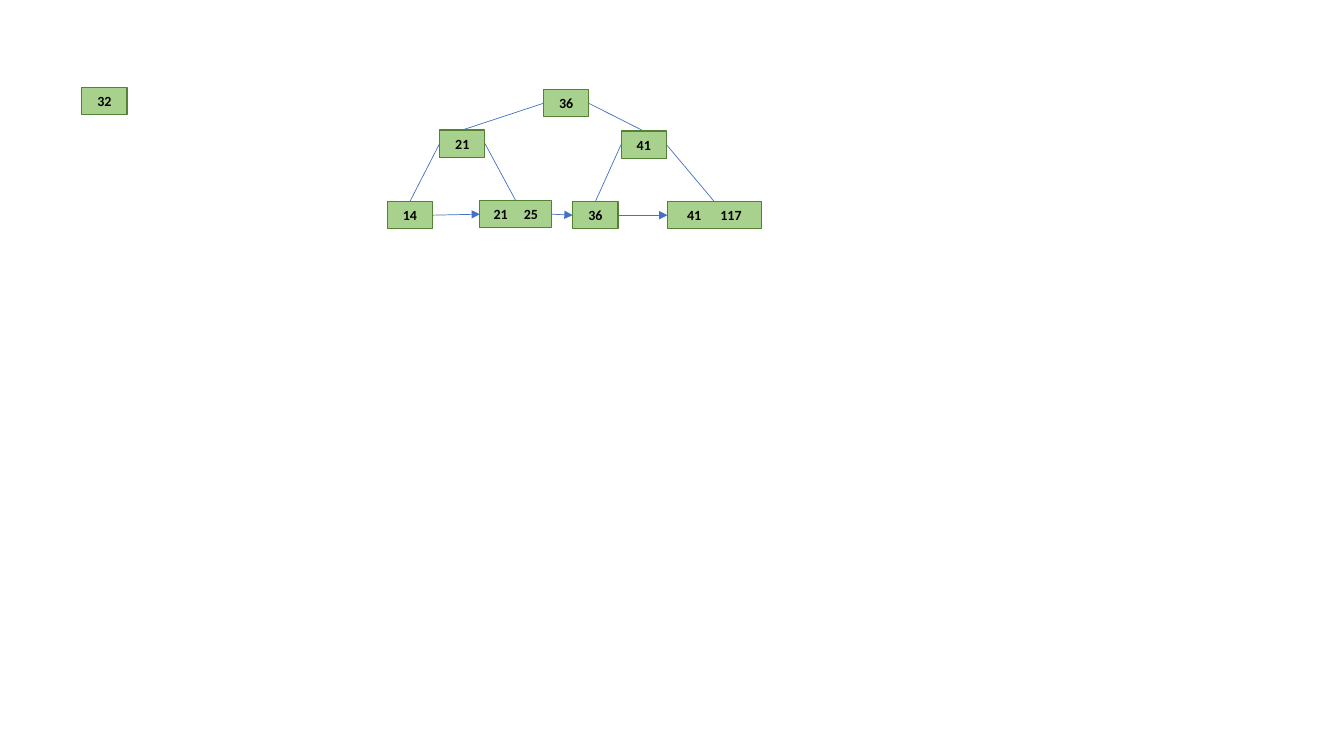
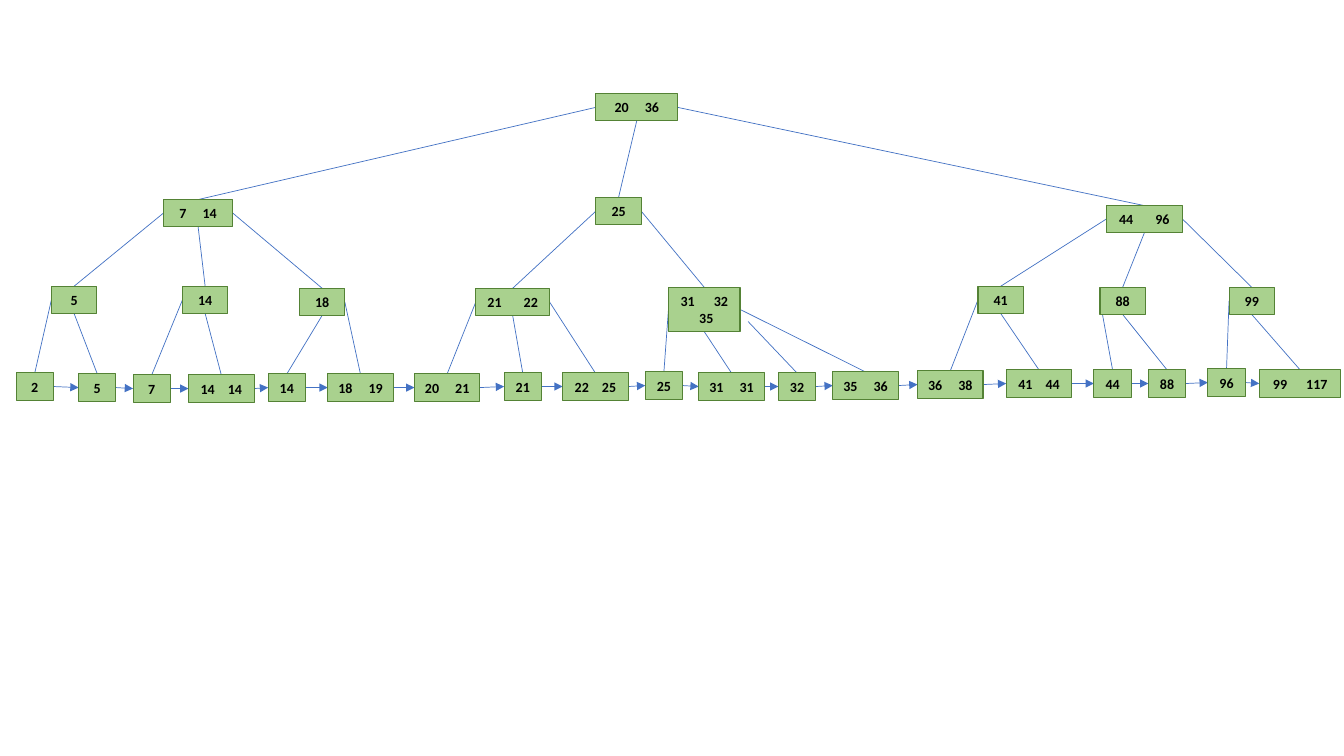
from dataclasses import dataclass

from lxml import etree
from pptx import Presentation
from pptx.dml.color import RGBColor
from pptx.enum import shapes, text
from pptx.oxml.ns import qn
from pptx.util import Inches, Pt

TOP, LEFT, BOTTOM, RIGHT = range(4)
DIGIT_WIDTH = 0.07
TAB_SLACK = 0.04


@dataclass
class Node:
    """Keys are parted by a space, rows of keys by a line break.

    Each branch is (start, child); start is a side of this node or a free point.
    """
    keys: str
    left: float
    top: float
    width: float = 0.45
    gap: float = 0.16
    branches: tuple = ()


def color(value):
    return RGBColor.from_string(value)


def leaf(keys, left, top, gap=0.16):
    return Node(keys, left, top, 0.65 if " " in keys else 0.37, gap)


class TreeDeck:
    FILL, BORDER, LINK, INK = "A9D18E", "548235", "4472C4", "000000"
    FONT, SIZE = "Calibri", 10
    ROW_HEIGHT, PADDING = 0.17, 0.05

    def __init__(self):
        self.deck = Presentation()
        self.deck.slide_width, self.deck.slide_height = Inches(13.33), Inches(7.5)
        self.page = None

    def add_page(self):
        self.page = self.deck.slides.add_slide(self.deck.slide_layouts[6])

    def add_box(self, node):
        rows = node.keys.split("\n")
        height = len(rows) * self.ROW_HEIGHT + 2 * self.PADDING
        box = self.page.shapes.add_shape(
            shapes.MSO_SHAPE.RECTANGLE, Inches(node.left), Inches(node.top),
            Inches(node.width), Inches(height))
        box.shadow.inherit = False
        box.fill.solid()
        box.fill.fore_color.rgb = color(self.FILL)
        box.line.color.rgb = color(self.BORDER)
        box.line.width = Pt(0.75)
        frame = box.text_frame
        frame.word_wrap = True
        frame.vertical_anchor = text.MSO_ANCHOR.MIDDLE
        frame.margin_top = frame.margin_bottom = Inches(self.PADDING)
        frame.margin_left = frame.margin_right = 0
        frame.text = node.keys.replace(" ", "\t")
        for paragraph, row in zip(frame.paragraphs, rows):
            paragraph.alignment = text.PP_ALIGN.CENTER
            if " " in row:
                self.space_keys(frame, paragraph, row, node)
            for span in paragraph.runs:
                span.font.name, span.font.size = self.FONT, Pt(self.SIZE)
                span.font.bold = True
                span.font.color.rgb = color(self.INK)
        return box

    def space_keys(self, frame, paragraph, row, node):
        """Centre two keys in the box, with a tab stop at the second."""
        first, second = (len(key) * DIGIT_WIDTH for key in row.split())
        inset = (node.width - first - node.gap - second) / 2
        frame.margin_left = Inches(inset)
        frame.margin_right = Inches(max(inset - TAB_SLACK, 0))
        paragraph.alignment = text.PP_ALIGN.LEFT
        tabs = etree.SubElement(paragraph._p.get_or_add_pPr(), qn("a:tabLst"))
        etree.SubElement(tabs, qn("a:tab"), pos=str(Inches(first + node.gap)), algn="l")

    def add_link(self, source, start, target, end, arrow=False):
        """Join two boxes, behind them; start may be a free point."""
        free = isinstance(start, tuple)
        x, y = start if free else (0, 0)
        link = self.page.shapes.add_connector(
            shapes.MSO_CONNECTOR.STRAIGHT, Inches(x), Inches(y), Inches(x), Inches(y))
        if not free:
            link.begin_connect(source, start)
        link.end_connect(target, end)
        link.line.color.rgb = color(self.LINK)
        link.line.width = Pt(0.5)
        if arrow:
            etree.SubElement(link.line._get_or_add_ln(), qn("a:tailEnd"), type="triangle")
        etree.SubElement(link._element.spPr, qn("a:effectLst"))
        self.page.shapes._spTree.insert(2, link._element)

    def add_subtree(self, node):
        """Draw a node and all below it; return its box and its leaf boxes."""
        box = self.add_box(node)
        if not node.branches:
            return box, [box]
        leaves = []
        for start, child in node.branches:
            child_box, child_leaves = self.add_subtree(child)
            self.add_link(box, start, child_box, TOP)
            leaves += child_leaves
        return box, leaves

    def add_tree(self, root):
        leaves = self.add_subtree(root)[1]
        for source, target in zip(leaves, leaves[1:]):
            self.add_link(source, RIGHT, target, LEFT, arrow=True)


SMALL_TREE = Node("36", 5.39, 0.89, branches=(
    (LEFT, Node("21", 4.36, 1.29, branches=(
        (LEFT, Node("14", 3.84, 2)),
        (RIGHT, Node("21 25", 4.76, 1.99, 0.71))))),
    (RIGHT, Node("41", 6.16, 1.3, branches=(
        (LEFT, Node("36", 5.68, 2)),
        (RIGHT, Node("41 117", 6.62, 2, 0.93, 0.19)))))))

LOW_BRANCH = Node("7 14", 1.62, 1.98, 0.69, branches=(
    (LEFT, Node("5", 0.51, 2.84, branches=(
        (LEFT, leaf("2", 0.16, 3.7)),
        (BOTTOM, leaf("5", 0.78, 3.71))))),
    (BOTTOM, Node("14", 1.81, 2.84, branches=(
        (LEFT, leaf("7", 1.32, 3.72)),
        (BOTTOM, leaf("14 14", 1.87, 3.72, 0.13))))),
    (RIGHT, Node("18", 2.97, 2.86, branches=(
        (BOTTOM, leaf("14", 2.66, 3.71)),
        (RIGHT, leaf("18 19", 3.25, 3.71)))))))

MIDDLE_BRANCH = Node("25", 5.91, 1.96, branches=(
    (LEFT, Node("21 22", 4.72, 2.86, 0.73, 0.22, branches=(
        (LEFT, leaf("20 21", 4.11, 3.71)),
        (BOTTOM, leaf("21", 5, 3.7)),
        (RIGHT, leaf("22 25", 5.58, 3.7, 0.13))))),
    (RIGHT, Node("31 32\n35", 6.63, 2.85, 0.71, 0.19, branches=(
        (LEFT, leaf("25", 6.4, 3.69)),
        (BOTTOM, leaf("31 31", 6.93, 3.7)),
        ((7.42, 3.19), leaf("32", 7.72, 3.7)),
        (RIGHT, leaf("35 36", 8.26, 3.69)))))))

HIGH_BRANCH = Node("44 96", 10.97, 2.04, 0.76, 0.22, branches=(
    (LEFT, Node("41", 9.7, 2.84, branches=(
        (LEFT, leaf("36 38", 9.1, 3.68)),
        (BOTTOM, leaf("41 44", 9.98, 3.67, 0.13))))),
    (BOTTOM, Node("88", 10.91, 2.85, branches=(
        (LEFT, leaf("44", 10.85, 3.67)),
        (BOTTOM, leaf("88", 11.39, 3.67))))),
    (RIGHT, Node("99", 12.19, 2.85, branches=(
        (LEFT, leaf("96", 11.98, 3.66)),
        (BOTTOM, Node("99 117", 12.49, 3.67, 0.81, 0.19)))))))

LARGE_TREE = Node("20 36", 5.91, 0.93, 0.81, branches=(
    (LEFT, LOW_BRANCH), (BOTTOM, MIDDLE_BRANCH), (RIGHT, HIGH_BRANCH)))


def main():
    slides = TreeDeck()
    slides.add_page()
    slides.add_box(Node("32", 0.81, 0.87))
    slides.add_tree(SMALL_TREE)
    slides.add_page()
    slides.add_tree(LARGE_TREE)
    slides.deck.save("out.pptx")


if __name__ == "__main__":
    main()
